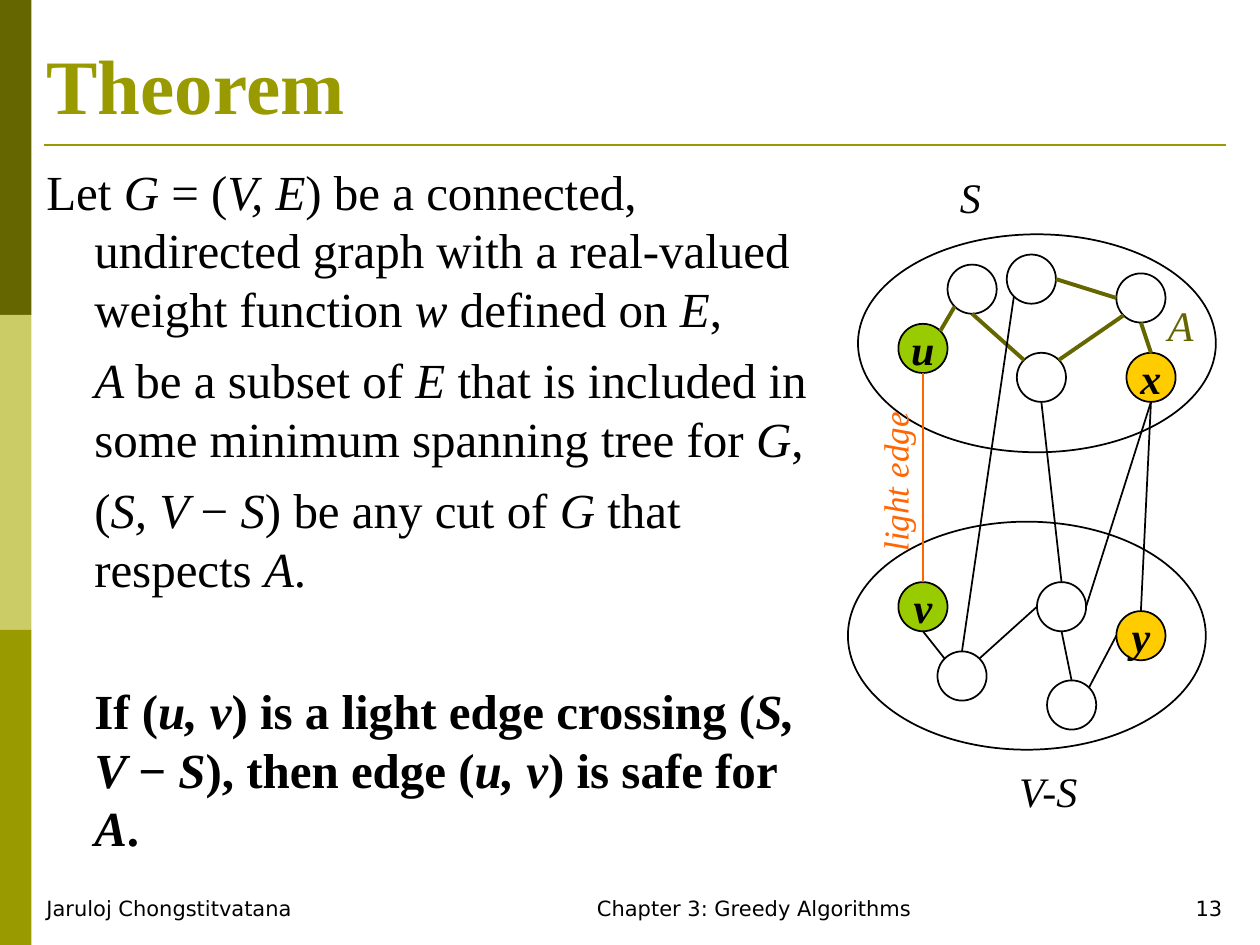
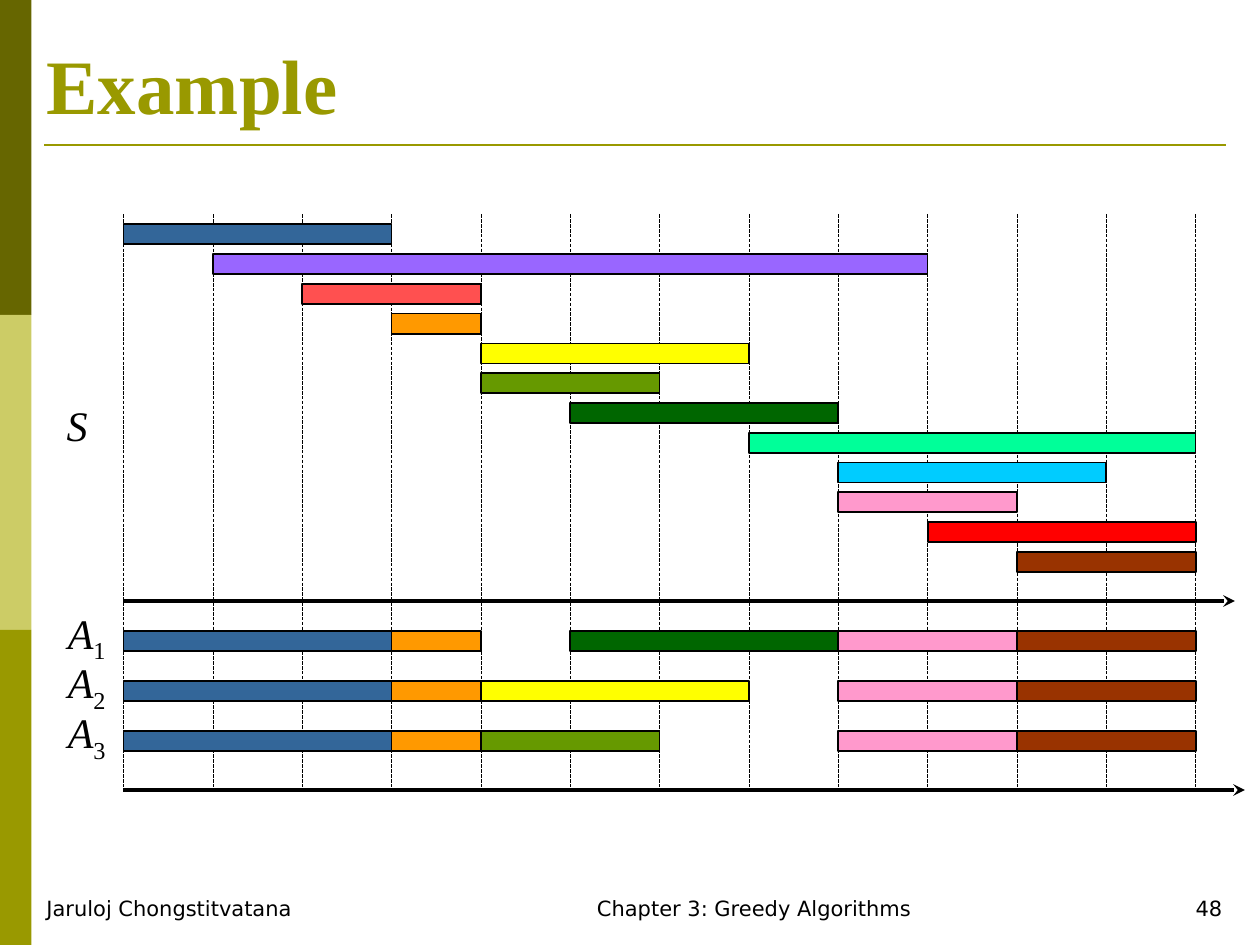
from dataclasses import dataclass
from math import sqrt

from pptx import Presentation
from pptx.dml.color import RGBColor
from pptx.enum.dml import MSO_LINE
from pptx.enum.shapes import MSO_CONNECTOR, MSO_SHAPE
from pptx.enum.text import MSO_ANCHOR, MSO_AUTO_SIZE, PP_ALIGN
from pptx.oxml.ns import qn
from pptx.util import Inches, Pt

COLORS = {
    "black": "000000",
    "dark_olive": "666600",
    "pale_olive": "CCCC66",
    "olive": "999900",
    "lime": "99CC00",
    "gold": "FFCC00",
    "flame": "FF6600",
    "steel": "336699",
    "violet": "9966FF",
    "coral": "FF5050",
    "orange": "FF9900",
    "yellow": "FFFF00",
    "leaf": "669900",
    "forest": "006600",
    "mint": "00FF99",
    "sky": "00CCFF",
    "pink": "FF99CC",
    "red": "FF0000",
    "brown": "993300",
}
SERIF = "Times New Roman"
SANS = "DejaVu Sans"

NODE_SIZE = 0.39
DIAGONAL = sqrt(0.5)
SITES = {
    "top": (0, -1),
    "bottom": (0, 1),
    "left": (-1, 0),
    "right": (1, 0),
    "top_left": (-DIAGONAL, -DIAGONAL),
    "top_right": (DIAGONAL, -DIAGONAL),
    "bottom_left": (-DIAGONAL, DIAGONAL),
}

TIME_LEFT, TIME_RIGHT, TIME_UNITS = 0.98, 9.49, 12
TIME_STEP = (TIME_RIGHT - TIME_LEFT) / TIME_UNITS
TASK_TOP, TASK_STEP, BAR_HEIGHT = 1.78, 2.6 / 11, 0.16
SCHEDULE_TOP, SCHEDULE_STEP = 5.01, 0.79 / 2
GRID_TOP, GRID_BOTTOM = 1.7, 6.27


@dataclass
class Node:
    left: float
    top: float
    label: str = ""
    color: str | None = None

    def site(self, name: str) -> tuple[float, float]:
        radius = NODE_SIZE / 2
        dx, dy = SITES[name]
        return self.left + radius * (1 + dx), self.top + radius * (1 + dy)


@dataclass
class Edge:
    start: str
    start_site: str
    end: str
    end_site: str
    color: str = "black"
    weight: float = 1


@dataclass
class Label:
    text: str
    left: float
    top: float
    width: float
    height: float = 0.5
    size: float = 24
    color: str = "black"
    rotation: float = 0
    subscript: str = ""


@dataclass
class Task:
    start: int
    finish: int
    color: str


@dataclass
class Statement:
    text: str
    gap: float = 7
    first_indent: float = 0
    bold: bool = False


NODES = {
    "u": Node(7.13, 2.57, "u", "lime"),
    "v": Node(7.13, 4.62, "v", "lime"),
    "x": Node(8.94, 2.8, "x", "gold"),
    "y": Node(8.86, 4.85, "y", "gold"),
    "upper_left": Node(7.52, 2.1),
    "upper_mid": Node(7.99, 2.02),
    "upper_right": Node(8.86, 2.17),
    "upper_low": Node(8.07, 2.8),
    "lower_left": Node(7.44, 5.17),
    "lower_mid": Node(8.23, 4.62),
    "lower_right": Node(8.31, 5.4),
}
TREE = ("dark_olive", 2.25)
EDGES = [
    Edge("upper_right", "left", "upper_mid", "right", *TREE),
    Edge("upper_right", "bottom_left", "upper_low", "top_right", *TREE),
    Edge("upper_low", "top_left", "upper_left", "bottom", *TREE),
    Edge("upper_right", "bottom", "x", "top", *TREE),
    Edge("u", "top_right", "upper_left", "bottom_left", *TREE),
    Edge("lower_mid", "bottom", "lower_right", "top"),
    Edge("lower_mid", "left", "lower_left", "top_right"),
    Edge("lower_right", "top_right", "y", "left"),
    Edge("v", "bottom", "lower_left", "top_left"),
    Edge("u", "bottom", "v", "top", "flame", 1.5),
    Edge("upper_low", "bottom", "lower_mid", "top"),
    Edge("x", "bottom", "lower_mid", "right"),
    Edge("upper_mid", "bottom_left", "lower_left", "top"),
    Edge("x", "bottom", "y", "top"),
]
GRAPH_LABELS = [
    Label("S", 7.52, 1.31, 0.37),
    Label("V-S", 7.99, 6.03, 0.71),
    Label("A", 9.17, 2.33, 0.41, color="dark_olive"),
    Label("light edge", 6.43, 3.58, 1.35, 0.44, 20, "flame", 270),
]
STATEMENTS = [
    Statement("Let *G *= (*V, E*) be a connected, undirected graph with a "
              "real-valued weight function *w *defined on *E*,", 0, -0.38),
    Statement("*A *be a subset of *E *that is included in some minimum "
              "spanning tree for *G*,"),
    Statement("(*S, V *− *S*) be any cut of *G *that respects *A*."),
    Statement("If (*u, v*) is a light edge crossing (*S, V *− *S*), then edge "
              "(*u, v*) is safe for *A*.", 47.6, bold=True),
]
TASKS = [
    Task(0, 3, "steel"),
    Task(1, 9, "violet"),
    Task(2, 4, "coral"),
    Task(3, 4, "orange"),
    Task(4, 7, "yellow"),
    Task(4, 6, "leaf"),
    Task(5, 8, "forest"),
    Task(7, 12, "mint"),
    Task(8, 11, "sky"),
    Task(8, 10, "pink"),
    Task(9, 12, "red"),
    Task(10, 12, "brown"),
]
SCHEDULES = [(0, 3, 6, 9, 11), (0, 3, 4, 9, 11), (0, 3, 5, 9, 11)]


def rgb(name: str) -> RGBColor:
    return RGBColor.from_string(COLORS[name])


def style_font(font, size: float, color: str = "black", name: str = SERIF,
               bold: bool = False, italic: bool = False) -> None:
    font.size, font.name = Pt(size), name
    font.bold, font.italic = bold, italic
    font.color.rgb = rgb(color)


def add_shape(slide, kind, left: float, top: float, width: float, height: float,
              fill: str | None = None, outline: str | None = "black"):
    shape = slide.shapes.add_shape(kind, Inches(left), Inches(top), Inches(width), Inches(height))
    shape.shadow.inherit = False
    if fill:
        shape.fill.solid()
        shape.fill.fore_color.rgb = rgb(fill)
    else:
        shape.fill.background()
    if outline:
        shape.line.color.rgb = rgb(outline)
        shape.line.width = Pt(1)
    else:
        shape.line.fill.background()
    return shape


def add_line(slide, start: tuple[float, float], end: tuple[float, float],
             color: str = "black", weight: float = 1, dashed: bool = False,
             arrow: bool = False) -> None:
    points = [Inches(value) for value in (*start, *end)]
    connector = slide.shapes.add_connector(MSO_CONNECTOR.STRAIGHT, *points)
    line = connector.line
    line.color.rgb = rgb(color)
    line.width = Pt(weight)
    if dashed:
        line.dash_style = MSO_LINE.LONG_DASH
    properties = connector._element.spPr
    if arrow:
        outline = properties.find(qn("a:ln"))
        tail = outline.makeelement(qn("a:tailEnd"), {"type": "stealth"})
        outline.append(tail)
    properties.append(properties.makeelement(qn("a:effectLst"), {}))


def add_text_box(slide, left: float, top: float, width: float, height: float, wrap: bool = True):
    box = slide.shapes.add_textbox(Inches(left), Inches(top), Inches(width), Inches(height))
    box.text_frame.word_wrap = wrap
    return box


def add_label(slide, label: Label) -> None:
    box = add_text_box(slide, label.left, label.top, label.width, label.height, wrap=False)
    box.rotation = label.rotation
    paragraph = box.text_frame.paragraphs[0]
    paragraph.text = label.text
    style_font(paragraph.runs[0].font, label.size, label.color, italic=True)
    if label.subscript:
        run = paragraph.add_run()
        run.text = label.subscript
        style_font(run.font, label.size, label.color)
        run._r.get_or_add_rPr().set("baseline", "-25000")


def add_base_slide(presentation, title: str, number: int):
    slide = presentation.slides.add_slide(presentation.slide_layouts[5])
    for index, color in enumerate(("dark_olive", "pale_olive", "olive")):
        add_shape(slide, MSO_SHAPE.RECTANGLE, 0, 2.5 * index, 0.25, 2.5, color, None)
    add_line(slide, (0.35, 1.15), (9.73, 1.15), "olive", 1.5)
    footers = [
        ("Jaruloj Chongstitvatana", 0.27, 3.15, PP_ALIGN.LEFT),
        ("Chapter 3: Greedy Algorithms", 3.42, 5.13, PP_ALIGN.CENTER),
        (str(number), 8.7, 1.1, PP_ALIGN.RIGHT),
    ]
    for text, left, width, alignment in footers:
        paragraph = add_text_box(slide, left, 7.06, width, 0.28).text_frame.paragraphs[0]
        paragraph.text = text
        paragraph.alignment = alignment
        style_font(paragraph.runs[0].font, 12, name=SANS)
    heading = slide.shapes.title
    heading.left, heading.top = Inches(0.27), Inches(0.21)
    heading.width, heading.height = Inches(9.53), Inches(0.87)
    frame = heading.text_frame
    frame.text = title
    frame.auto_size = MSO_AUTO_SIZE.NONE
    frame.vertical_anchor = MSO_ANCHOR.BOTTOM
    frame.paragraphs[0].alignment = PP_ALIGN.LEFT
    style_font(frame.paragraphs[0].runs[0].font, 44, "olive", bold=True)
    return slide


def add_statements(slide) -> None:
    frame = add_text_box(slide, 0.27, 1.23, 6.3, 5.67).text_frame
    for index, statement in enumerate(STATEMENTS):
        paragraph = frame.add_paragraph() if index else frame.paragraphs[0]
        properties = paragraph._p.get_or_add_pPr()
        properties.set("marL", str(Inches(0.38)))
        properties.set("indent", str(Inches(statement.first_indent)))
        paragraph.line_spacing = Pt(33.6)
        paragraph.space_before = Pt(statement.gap)
        for position, text in enumerate(statement.text.split("*")):
            if text:
                run = paragraph.add_run()
                run.text = text
                style_font(run.font, 28, bold=statement.bold, italic=position % 2 == 1)


def add_node(slide, node: Node) -> None:
    shape = add_shape(slide, MSO_SHAPE.OVAL, node.left, node.top, NODE_SIZE, NODE_SIZE, node.color)
    if node.label:
        frame = shape.text_frame
        frame.text = node.label
        frame.word_wrap = False
        frame.vertical_anchor = MSO_ANCHOR.MIDDLE
        frame.paragraphs[0].alignment = PP_ALIGN.CENTER
        style_font(frame.paragraphs[0].runs[0].font, 24, bold=True, italic=True)


def add_bar(slide, task: Task, top: float) -> None:
    add_shape(slide, MSO_SHAPE.RECTANGLE, TIME_LEFT + task.start * TIME_STEP, top,
              (task.finish - task.start) * TIME_STEP, BAR_HEIGHT, task.color)


def build_theorem(presentation) -> None:
    slide = add_base_slide(presentation, "Theorem", 13)
    add_statements(slide)
    add_shape(slide, MSO_SHAPE.OVAL, 6.81, 1.86, 2.84, 1.73)
    add_shape(slide, MSO_SHAPE.OVAL, 6.73, 4.14, 2.84, 1.81)
    for node in NODES.values():
        add_node(slide, node)
    for edge in EDGES:
        add_line(slide, NODES[edge.start].site(edge.start_site),
                 NODES[edge.end].site(edge.end_site), edge.color, edge.weight)
    for label in GRAPH_LABELS:
        add_label(slide, label)


def build_example(presentation) -> None:
    slide = add_base_slide(presentation, "Example", 48)
    for unit in range(TIME_UNITS + 1):
        x = TIME_LEFT + unit * TIME_STEP
        add_line(slide, (x, GRID_TOP), (x, GRID_BOTTOM), weight=0.25, dashed=True)
    for row, task in enumerate(TASKS):
        add_bar(slide, task, TASK_TOP + row * TASK_STEP)
    for row, chosen in enumerate(SCHEDULES):
        top = SCHEDULE_TOP + row * SCHEDULE_STEP
        for index in chosen:
            add_bar(slide, TASKS[index], top)
        add_label(slide, Label("A", 0.44, top - 0.24, 0.5, 0.56, subscript=str(row + 1)))
    add_label(slide, Label("S", 0.43, 3.12, 0.36))
    for y, right in ((4.77, 9.8), (GRID_BOTTOM, 9.88)):
        add_line(slide, (TIME_LEFT, y), (right, y), weight=2.25, arrow=True)


def main() -> None:
    presentation = Presentation()
    presentation.slide_width, presentation.slide_height = Inches(10), Inches(7.5)
    build_theorem(presentation)
    build_example(presentation)
    presentation.save("out.pptx")


if __name__ == "__main__":
    main()
